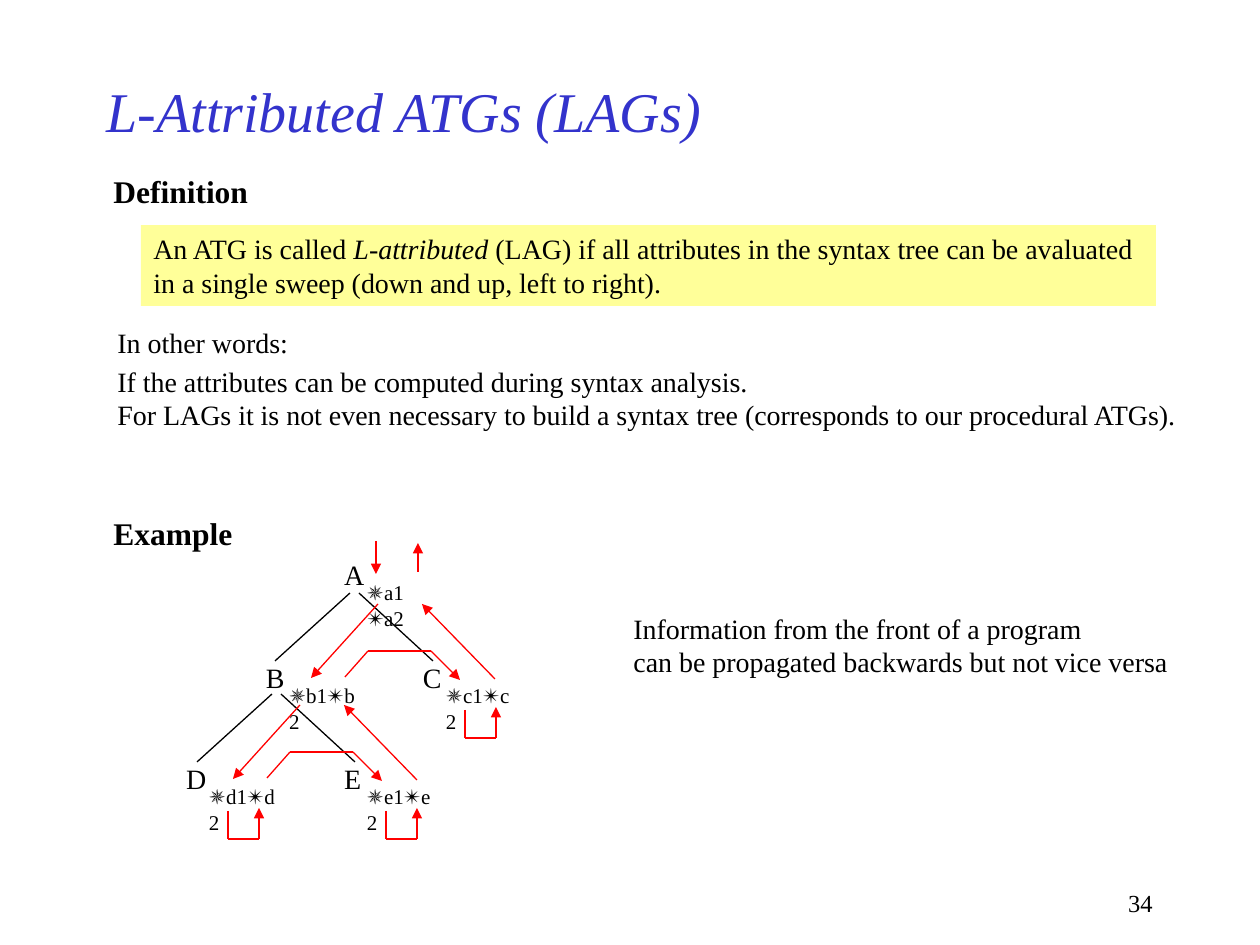
from pptx import Presentation
from pptx.dml.color import RGBColor
from pptx.enum.shapes import MSO_CONNECTOR as CONN, MSO_SHAPE as SHAPE
from pptx.enum.text import MSO_ANCHOR as ANCHOR, PP_ALIGN as ALIGN
from pptx.oxml.ns import qn
from pptx.util import Pt
from lxml.etree import SubElement

PX = 914400 / 126
FONT = "Times New Roman"
BLACK = RGBColor(0x00, 0x00, 0x00)
RED = RGBColor(0xFF, 0x00, 0x00)
BLUE = RGBColor(0x33, 0x33, 0xCC)
YELLOW = RGBColor(0xFF, 0xFF, 0x99)

TITLE = "L-Attributed ATGs (LAGs)"
HEADINGS = [("Definition", (101, 166, 160, 50)), ("Example", (101, 508, 144, 50))]
DEFINITION = [
    [("An ATG is called ", False), ("L-attributed", True),
     (" (LAG) if all attributes in the syntax tree can be avaluated", False)],
    [("in a single sweep (down and up, left to right).", False)],
]
WORDS = [
    "In other words:",
    "If the attributes can be computed during syntax analysis.",
    "For LAGs it is not even necessary to build a syntax tree "
    "(corresponds to our procedural ATGs).",
]
REMARK = [
    "Information from the front of a program",
    "can be propagated backwards but not vice versa",
]
PAGE = "34"

NODES = [
    ("A", 344, 558, "✵a1 ✴a2", 70),
    ("B", 266, 661, "✵b1✴b2", 67),
    ("C", 423, 661, "✵c1✴c2", 66),
    ("D", 186, 762, "✵d1✴d2", 67),
    ("E", 344, 762, "✵e1✴e2", 66),
]
LEAVES = "CDE"
SUBTREE_SHIFTS = [(0, 0), (-78, 101)]
BRANCHES = [[(275, 661), (350, 593)], [(433, 661), (359, 593)]]
SWEEP = [
    [(378, 604), (311, 678)],
    [(495, 679), (422, 604)],
    [(345, 677), (368, 651), (431, 651), (460, 680)],
]
LEAF_LOOP = [(42, 49), (42, 77), (73, 77), (73, 46)]
ROOT_ARROWS = [[(376, 541), (376, 574)], [(418, 572), (418, 543)]]


def emu(*lengths):
    return [round(v * PX) for v in lengths]


def style(p, size, color=BLACK, bold=False):
    for r in p.runs:
        r.font.name, r.font.size, r.font.bold = FONT, Pt(size), bold
        r.font.color.rgb = color


def add_text(box, lines, size, bold=False, wrap=False, inset=True):
    sp = slide.shapes.add_textbox(*emu(*box))
    tf = sp.text_frame
    tf.word_wrap = wrap
    if not inset:
        tf.margin_left = tf.margin_right = tf.margin_top = tf.margin_bottom = 0
    tf.text = "\n".join(lines)
    for p in tf.paragraphs:
        style(p, size, bold=bold)
    return tf


def add_path(points, color, dx=0, dy=0, arrow=False):
    moved = [(x + dx, y + dy) for x, y in points]
    for i, (start, end) in enumerate(zip(moved, moved[1:]), 2):
        line = slide.shapes.add_connector(CONN.STRAIGHT, *emu(*start, *end))
        line.line.color.rgb = color
        line.line.width = Pt(0.75)
        if arrow and i == len(moved):
            SubElement(line.line._get_or_add_ln(), qn("a:tailEnd"), type="triangle")
        SubElement(line._element.spPr, qn("a:effectLst"))


prs = Presentation()
prs.slide_width, prs.slide_height = emu(1260, 945)
slide = prs.slides.add_slide(prs.slide_layouts[5])

title = slide.shapes.title
title.left, title.top, title.width, title.height = emu(94, 63, 945, 94)
tf = title.text_frame
tf.text = TITLE
tf.vertical_anchor = ANCHOR.MIDDLE
p = tf.paragraphs[0]
p.alignment = ALIGN.LEFT
style(p, 32, BLUE)
p.runs[0].font.italic = True

for text, box in HEADINGS:
    add_text(box, [text], 18, bold=True)

panel = slide.shapes.add_shape(SHAPE.RECTANGLE, *emu(141, 225, 1015, 81))
panel.shadow.inherit = False
panel.fill.solid()
panel.fill.fore_color.rgb = YELLOW
panel.line.fill.background()
tf = panel.text_frame
tf.word_wrap = False
for i, parts in enumerate(DEFINITION):
    p = tf.add_paragraph() if i else tf.paragraphs[0]
    p.alignment = ALIGN.LEFT
    for text, italic in parts:
        r = p.add_run()
        r.text = text
        r.font.italic = italic
    style(p, 16)

tf = add_text((105, 319, 1094, 121), WORDS, 16)
tf.paragraphs[0].space_after = Pt(3.2)

for name, x, y, attributes, width in NODES:
    add_text((x, y, 20, 34), [name], 16, inset=False)
    add_text((x + 23, y + 22, width, 25), [attributes], 12, wrap=True, inset=False)
    if name in LEAVES:
        add_path(LEAF_LOOP, RED, x, y, arrow=True)

for dx, dy in SUBTREE_SHIFTS:
    for points in BRANCHES:
        add_path(points, BLACK, dx, dy)
    for points in SWEEP:
        add_path(points, RED, dx, dy, arrow=True)
for points in ROOT_ARROWS:
    add_path(points, RED, arrow=True)

add_text((621, 605, 562, 81), REMARK, 16)
tf = add_text((903, 882, 262, 42), [PAGE], 14, wrap=True)
tf.paragraphs[0].alignment = ALIGN.RIGHT

prs.save("out.pptx")
